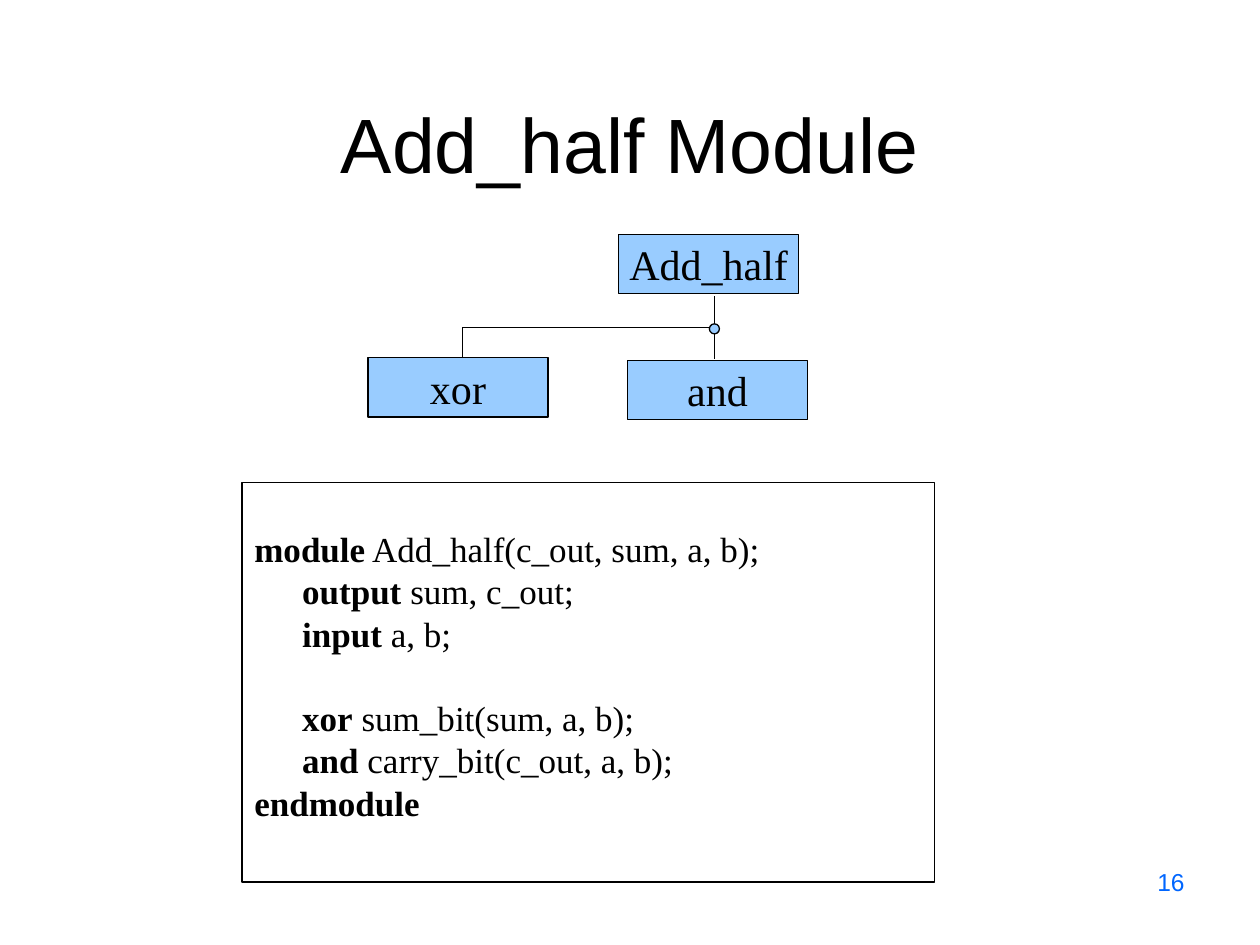
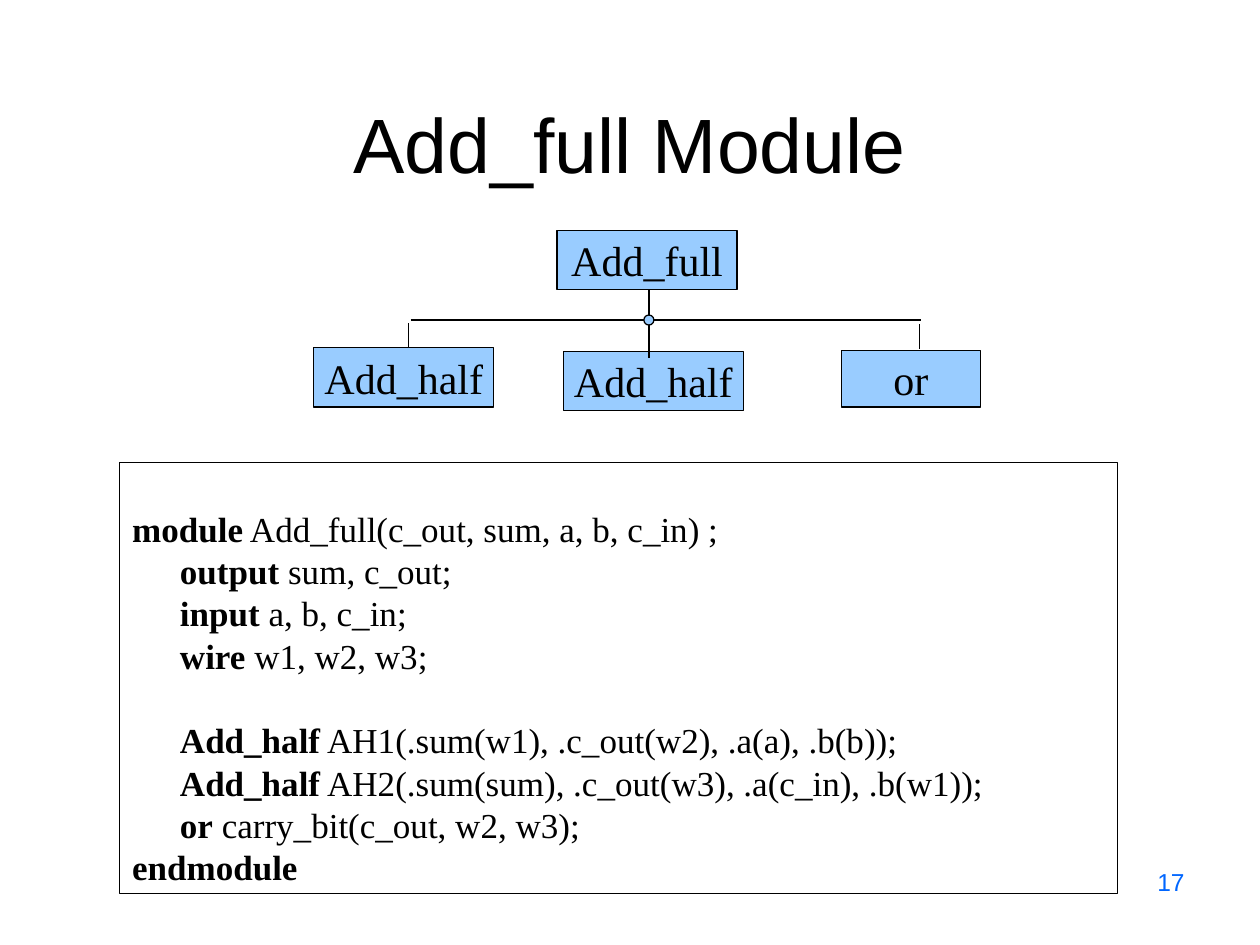
from pptx import Presentation
from pptx.dml.color import RGBColor
from pptx.enum.shapes import MSO_CONNECTOR, MSO_SHAPE
from pptx.enum.text import MSO_ANCHOR, MSO_AUTO_SIZE, PP_ALIGN
from pptx.util import Inches, Pt
from lxml.etree import SubElement
from pptx.oxml.ns import qn

BLACK = RGBColor(0x00, 0x00, 0x00)
SKY = RGBColor(0x99, 0xCC, 0xFF)
BLUE = RGBColor(0x00, 0x66, 0xFF)

TITLE_FONT = {"name": "Arial", "size": Pt(44)}
NUMBER_FONT = {"name": "Arial", "size": Pt(14)}
NODE_FONT = {"name": "Times New Roman", "size": Pt(24)}
CODE_FONT = {"name": "Times New Roman", "size": Pt(20)}

TITLE_BOX = (0.5, 0.3, 9, 1.25)
NUMBER_BOX = (7.17, 6.83, 2.33, 0.52)
NODE_SIZE = (1.43, 0.47)
DOT = 0.08
CODE_INDENT = 0.38
CODE_TOP = 0.42
LINE_GAP, BLOCK_GAP = Pt(5), Pt(29)

# Code lines: (indent level, keyword, rest of the line, starts a new block)
MODULES = [
    {
        "title": "Add_half Module",
        "number": "16",
        "nodes": [
            ("Add_half", (4.91, 1.86, *NODE_SIZE)),
            ("and", (4.98, 2.86, *NODE_SIZE)),
            ("xor", (2.92, 2.84, *NODE_SIZE)),
        ],
        "wires": [
            (5.67, 2.35, 5.67, 2.85),
            (3.67, 2.94, 3.67, 2.6),
            (5.67, 2.6, 3.67, 2.6),
        ],
        "wires_behind": True,
        "junction": (5.67, 2.61),
        "code_box": (1.92, 3.83, 5.5, 3.17),
        "code": [
            (0, "module", " Add_half(c_out, sum, a, b);", False),
            (1, "output", " sum, c_out;", False),
            (1, "input", " a, b;", False),
            (1, "xor", " sum_bit(sum, a, b);", True),
            (1, "and", " carry_bit(c_out, a, b);", False),
            (0, "endmodule", "", False),
        ],
    },
    {
        "title": "Add_full Module",
        "number": "17",
        "nodes": [
            ("Add_full", (4.42, 1.83, *NODE_SIZE)),
            ("Add_half", (4.47, 2.79, *NODE_SIZE)),
            ("or", (6.68, 2.78, 1.1, 0.45)),
            ("Add_half", (2.49, 2.76, *NODE_SIZE)),
        ],
        "wires": [
            (5.15, 2.3, 5.15, 2.84),
            (3.24, 2.76, 3.24, 2.56),
            (7.3, 2.77, 7.3, 2.57),
            (3.26, 2.54, 7.31, 2.54),
        ],
        "wires_behind": False,
        "junction": (5.15, 2.54),
        "code_box": (0.95, 3.67, 7.92, 3.42),
        "code": [
            (0, "module", " Add_full(c_out, sum, a, b, c_in) ;", False),
            (1, "output", " sum, c_out;", False),
            (1, "input", " a, b, c_in;", False),
            (1, "wire", " w1, w2, w3;", False),
            (1, "Add_half", " AH1(.sum(w1), .c_out(w2), .a(a), .b(b));", True),
            (1, "Add_half", " AH2(.sum(sum), .c_out(w3), .a(c_in), .b(w1));", False),
            (1, "or", " carry_bit(c_out, w2, w3);", False),
            (0, "endmodule", "", False),
        ],
    },
]


def inches(box):
    return [Inches(length) for length in box]


def style_font(font, style, color=BLACK):
    for key, value in style.items():
        setattr(font, key, value)
    font.color.rgb = color


def write_line(frame, text, style, align, color=BLACK):
    paragraph = frame.paragraphs[0]
    paragraph.text = text
    paragraph.alignment = align
    style_font(paragraph.runs[0].font, style, color)


def add_outlined(slide, kind, box, fill=None):
    outlined = slide.shapes.add_shape(kind, *inches(box))
    outlined.shadow.inherit = False
    if fill is None:
        outlined.fill.background()
    else:
        outlined.fill.solid()
        outlined.fill.fore_color.rgb = fill
    outlined.line.color.rgb = BLACK
    outlined.line.width = Pt(0.75)
    return outlined


def add_title(slide, text):
    title = slide.shapes.title
    for side, length in zip(("left", "top", "width", "height"), inches(TITLE_BOX)):
        setattr(title, side, length)
    title.text_frame.auto_size = MSO_AUTO_SIZE.NONE
    title.text_frame.vertical_anchor = MSO_ANCHOR.BOTTOM
    write_line(title.text_frame, text, TITLE_FONT, PP_ALIGN.CENTER)


def add_page_number(slide, number):
    frame = slide.shapes.add_textbox(*inches(NUMBER_BOX)).text_frame
    frame.word_wrap = True
    write_line(frame, number, NUMBER_FONT, PP_ALIGN.RIGHT, BLUE)


def add_node(slide, label, box):
    frame = add_outlined(slide, MSO_SHAPE.RECTANGLE, box, SKY).text_frame
    frame.word_wrap = False
    frame.vertical_anchor = MSO_ANCHOR.MIDDLE
    write_line(frame, label, NODE_FONT, PP_ALIGN.CENTER)


def add_wires(slide, wires, junction):
    """Draw the tree's lines and the dot where they meet."""
    for ends in wires:
        wire = slide.shapes.add_connector(MSO_CONNECTOR.STRAIGHT, *inches(ends))
        wire.line.color.rgb = BLACK
        wire.line.width = Pt(0.75)
        SubElement(wire._element.spPr, qn("a:effectLst"))
    x, y = junction
    add_outlined(slide, MSO_SHAPE.OVAL, (x - DOT / 2, y - DOT / 2, DOT, DOT), SKY)


def add_hierarchy(slide, module):
    root, *children = module["nodes"]
    add_node(slide, *root)
    if module["wires_behind"]:
        add_wires(slide, module["wires"], module["junction"])
    for child in children:
        add_node(slide, *child)
    if not module["wires_behind"]:
        add_wires(slide, module["wires"], module["junction"])


def add_code(slide, box, code):
    frame = add_outlined(slide, MSO_SHAPE.RECTANGLE, box).text_frame
    frame.word_wrap = True
    frame.vertical_anchor = MSO_ANCHOR.TOP
    frame.margin_top = Inches(CODE_TOP)
    for index, (level, keyword, rest, new_block) in enumerate(code):
        paragraph = frame.add_paragraph() if index else frame.paragraphs[0]
        paragraph.alignment = PP_ALIGN.LEFT
        paragraph.line_spacing = 0.8
        if index:
            paragraph.space_before = BLOCK_GAP if new_block else LINE_GAP
        paragraph._p.get_or_add_pPr().set("marL", str(Inches(CODE_INDENT * level)))
        for text, bold in ((keyword, True), (rest, False)):
            if text:
                run = paragraph.add_run()
                run.text = text
                style_font(run.font, {**CODE_FONT, "bold": bold})


def add_module_slide(deck, module):
    slide = deck.slides.add_slide(deck.slide_layouts.get_by_name("Title Only"))
    add_title(slide, module["title"])
    add_code(slide, module["code_box"], module["code"])
    add_hierarchy(slide, module)
    add_page_number(slide, module["number"])


def main():
    deck = Presentation()
    deck.slide_width, deck.slide_height = Inches(10), Inches(7.5)
    for module in MODULES:
        add_module_slide(deck, module)
    deck.save("out.pptx")


if __name__ == "__main__":
    main()
